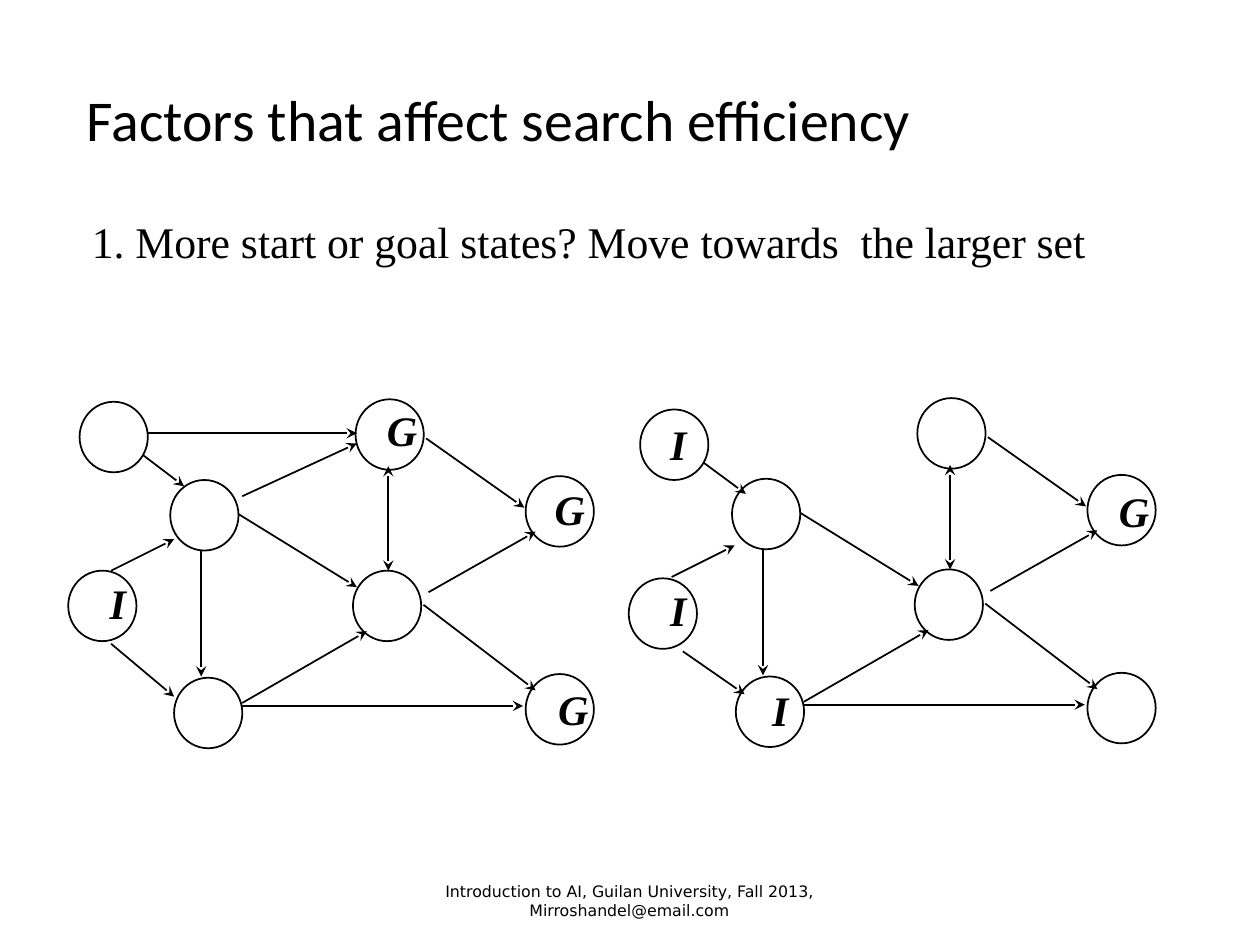
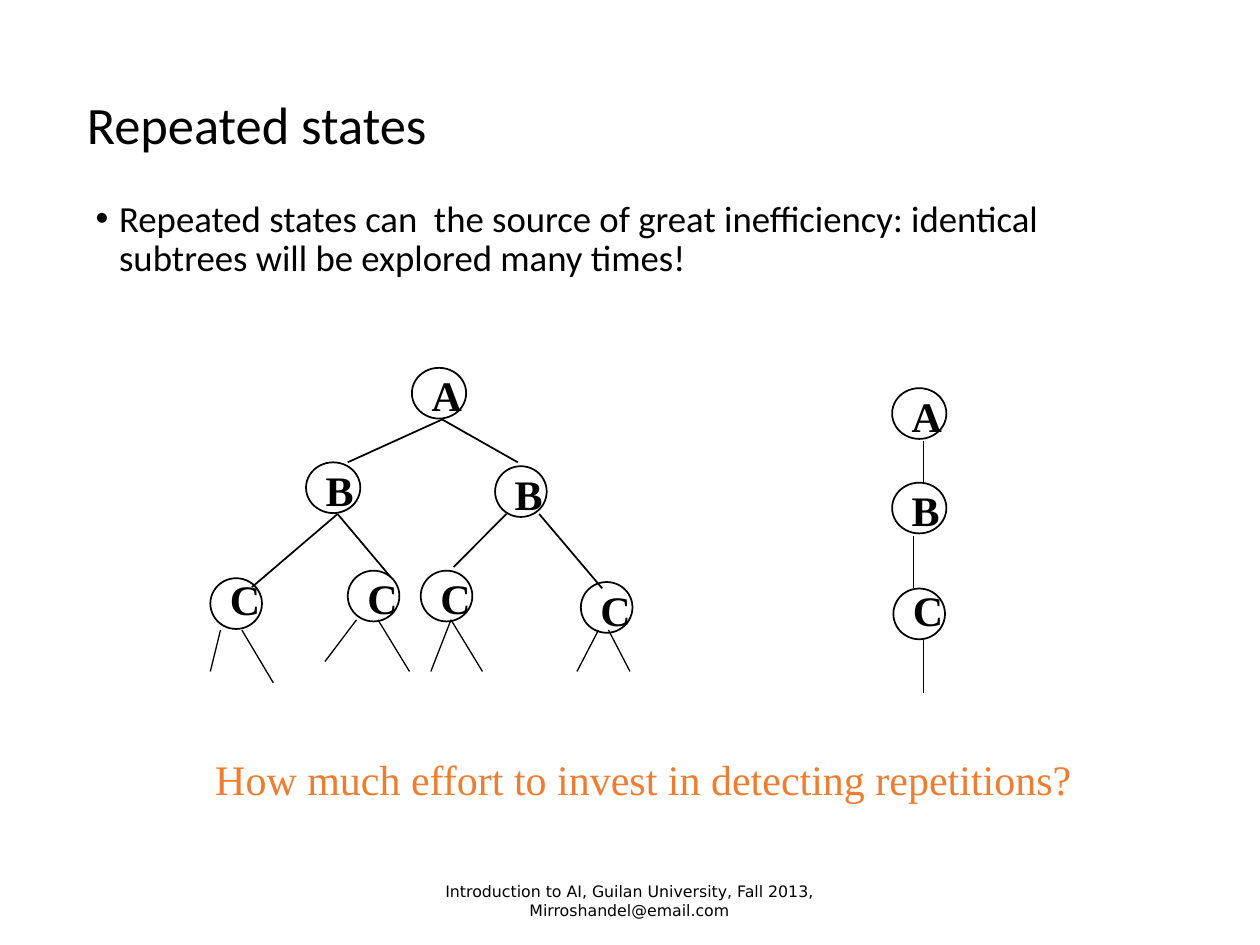
from lxml import etree
from pptx import Presentation
from pptx.dml.color import RGBColor
from pptx.enum.shapes import MSO_CONNECTOR, MSO_SHAPE
from pptx.enum.text import MSO_ANCHOR, PP_ALIGN
from pptx.oxml.ns import qn
from pptx.util import Pt

OVAL = MSO_SHAPE.OVAL
STRAIGHT = MSO_CONNECTOR.STRAIGHT
TOP, MIDDLE = MSO_ANCHOR.TOP, MSO_ANCHOR.MIDDLE
LEFT, CENTER = PP_ALIGN.LEFT, PP_ALIGN.CENTER
BLACK, ORANGE = "000000", "ED7D31"
SANS, SERIF, FOOTER_FONT = "Calibri", "Times New Roman", "DejaVu Sans"
FOOTER = "Introduction to AI, Guilan University, Fall 2013, Mirroshandel@email.com"
LABEL_WIDTHS = {"I": 19.4, "B": 26, "A": 27.4, "C": 27.4, "G": 27.4}

GRAPH_NODE = (39, 40.3)
GRAPH_NODES = [(58.3, 46.1), (60.5, 159.1), (261.4, 157),
               (162.7, 97.9), (261.4, 43.9), (164.2, 0)]
GRAPH_EDGES = [
    (97.2, 65.5, 164.9, 107.3), (76, 86.4, 76, 158.4),
    (99.4, 173.5, 170.6, 132.5), (99.4, 175.2, 259.9, 175.2),
    (203, 117.4, 267.1, 166.3), (205.9, 110.2, 267.1, 75.6),
    (204.5, 22.3, 260.6, 61.9),
]
TWO_WAY_EDGE = (182.9, 38.2, 182.9, 97.9)

MANY_GOALS = {
    "nodes": [(6.5, 1.4), (0, 97.9)],
    "edges": [(99.4, 55.4, 164.9, 25.2), (42.5, 31.7, 66.2, 49.7),
              (24.5, 97.9, 60.5, 79.9), (24.5, 139.7, 60.5, 169.9),
              (45.4, 19.4, 164.9, 19.4)],
    "labels": [("I", 18.7, 103.7), ("G", 177.1, 5),
               ("G", 275, 164.2), ("G", 272.9, 50.4)],
}
MANY_STARTS = {
    "nodes": [(5.8, 6.5), (-0.7, 103)],
    "edges": [(41.8, 36.7, 66.2, 54.7), (23.8, 102.2, 59.8, 84.2),
              (30.2, 144.7, 65.5, 169.2)],
    "labels": [("I", 76.3, 165.6), ("G", 274.3, 51.8),
               ("I", 18, 108.7), ("I", 18, 13.7)],
}

FULL_TREE = {
    "nodes": [("A", 115.2, 0, 31, 3.2), ("B", 54.7, 54, 31, 3.2),
              ("B", 162.7, 56.2, 29.5, 3.2), ("C", 0, 120.2, 29.5, -0.7),
              ("C", 78.5, 115.9, 29.5, 3.2), ("C", 120.2, 115.9, 29.5, 3.2),
              ("C", 211.7, 122.4, 29.5, 3.2)],
    "branches": [(132.5, 29.5, 78.5, 54), (132.5, 29.5, 175.7, 54),
                 (72.7, 83.5, 23.8, 125.3), (72.7, 83.5, 103, 119.5),
                 (169.2, 83.5, 139, 113.8), (187.9, 83.5, 223.9, 126)],
    "twigs": [(5.8, 149.8, 0, 173.5), (18, 149.8, 36, 180),
              (83.5, 144, 65.5, 167.8), (95.8, 144, 113.8, 173.5),
              (137.5, 144, 126, 173.5), (137.5, 144, 155.5, 173.5),
              (221.8, 149.8, 209.5, 173.5), (227.5, 149.8, 239.8, 173.5)],
}
MERGED_CHAIN = {
    "nodes": [("A", 0, 0, 31, 3.2), ("B", 0, 54, 31, 3.2),
              ("C", 0.7, 114.5, 29.5, 0)],
    "branches": [],
    "twigs": [(18, 30.2, 18, 54), (12.2, 84.2, 12.2, 114.5),
              (18, 144, 18, 174.2)],
}


def color(hex_text):
    """Turn a hex string into a colour."""
    return RGBColor.from_string(hex_text)


def add_text(page, text, left, top, width, height, *, size, font=SANS,
             fill=BLACK, bold=False, italic=False, align=LEFT, anchor=MIDDLE,
             spacing=1.0, insets=(7.2, 3.6), wrap=True, bullet_indent=0):
    """Add a text box of one paragraph in the given format."""
    box = page.shapes.add_textbox(Pt(left), Pt(top), Pt(width), Pt(height))
    frame = box.text_frame
    frame.word_wrap = wrap
    frame.vertical_anchor = anchor
    frame.margin_left = frame.margin_right = Pt(insets[0])
    frame.margin_top = frame.margin_bottom = Pt(insets[1])
    para = frame.paragraphs[0]
    para.alignment = align
    para.line_spacing = spacing
    if bullet_indent:
        props = para._p.get_or_add_pPr()
        props.set("marL", str(Pt(bullet_indent)))
        props.set("indent", str(-Pt(bullet_indent)))
        etree.SubElement(props, qn("a:buFont"), typeface="Arial")
        etree.SubElement(props, qn("a:buChar"), char="•")
    span = para.add_run()
    span.text = text
    span.font.name = font
    span.font.size = Pt(size)
    span.font.bold = bold
    span.font.italic = italic
    span.font.color.rgb = color(fill)


def add_circle(page, left, top, width, height):
    """Add an unfilled node outline."""
    circle = page.shapes.add_shape(OVAL, Pt(left), Pt(top), Pt(width), Pt(height))
    circle.shadow.inherit = False
    circle.fill.background()
    circle.line.color.rgb = color(BLACK)
    circle.line.width = Pt(1)


def add_edge(page, left, top, ends, weight=1, arrows=()):
    """Draw a line between two points of a box, with arrows at the named ends."""
    x1, y1, x2, y2 = ends
    edge = page.shapes.add_connector(STRAIGHT, Pt(left + x1), Pt(top + y1),
                                     Pt(left + x2), Pt(top + y2))
    edge.line.color.rgb = color(BLACK)
    edge.line.width = Pt(weight)
    for end in arrows:
        etree.SubElement(edge.line._get_or_add_ln(), qn(f"a:{end}"), type="stealth")
    etree.SubElement(edge._element.spPr, qn("a:effectLst"))


def add_label(page, letter, left, top, italic=False):
    """Write the letter of a node."""
    add_text(page, letter, left, top, LABEL_WIDTHS[letter], 28.8, size=24,
             font=SERIF, bold=True, italic=italic, anchor=TOP, spacing=0.85,
             insets=(5, 2.4), wrap=False)


def draw_graph(page, left, top, variant):
    """Draw the shared state graph with the parts of one variant."""
    for x, y in GRAPH_NODES + variant["nodes"]:
        add_circle(page, left + x, top + y, *GRAPH_NODE)
    for ends in GRAPH_EDGES + variant["edges"]:
        add_edge(page, left, top, ends, arrows=("tailEnd",))
    add_edge(page, left, top, TWO_WAY_EDGE, arrows=("headEnd", "tailEnd"))
    for letter, x, y in variant["labels"]:
        add_label(page, letter, left + x, top + y, italic=True)


def draw_tree(page, left, top, tree):
    """Draw a search tree with lettered nodes."""
    for letter, x, y, width, drop in tree["nodes"]:
        add_circle(page, left + x, top + y, width, 29)
        add_label(page, letter, left + x + 6.2, top + y + drop)
    for ends in tree["branches"]:
        add_edge(page, left, top, ends)
    for ends in tree["twigs"]:
        add_edge(page, left, top, ends, weight=0.75)


def add_page(deck, title, top, height, size):
    """Add a blank page with its title and the footer."""
    page = deck.slides.add_slide(deck.slide_layouts[6])
    add_text(page, title, 42.5, top, 666, height, size=size, spacing=0.9)
    add_text(page, FOOTER, 238.3, 500.4, 242.6, 28.8, size=9,
             font=FOOTER_FONT, align=CENTER)
    return page


def build_efficiency_page(deck):
    """Build the page that compares two state graphs."""
    page = add_page(deck, "Factors that affect search efficiency", 46, 48.2, 33)
    add_text(page, "1. More start or goal states? Move towards  the larger set",
             45.4, 122.4, 666, 30.2, size=25, font=SERIF, insets=(7.2, 0))
    draw_graph(page, 39, 228.2, MANY_GOALS)
    draw_graph(page, 360, 227.5, MANY_STARTS)


def build_repetition_page(deck):
    """Build the page that compares a full tree with a merged chain."""
    page = add_page(deck, "Repeated states", 51.8, 42.5, 30)
    add_text(page, "Repeated states can  the source of great inefficiency: "
             "identical subtrees will be explored many times!",
             47.5, 110.9, 630, 365.8, size=21, anchor=TOP, spacing=0.9,
             bullet_indent=13.5)
    draw_tree(page, 120.2, 210.2, FULL_TREE)
    draw_tree(page, 509.8, 221.8, MERGED_CHAIN)
    add_text(page, "How much effort to invest in detecting repetitions?",
             115.9, 430.6, 504, 28.8, size=24, font=SERIF, fill=ORANGE,
             insets=(7.2, 0), wrap=False)


def main():
    """Build and save the deck."""
    deck = Presentation()
    deck.slide_width, deck.slide_height = Pt(720), Pt(540)
    build_efficiency_page(deck)
    build_repetition_page(deck)
    deck.save("out.pptx")


if __name__ == "__main__":
    main()
